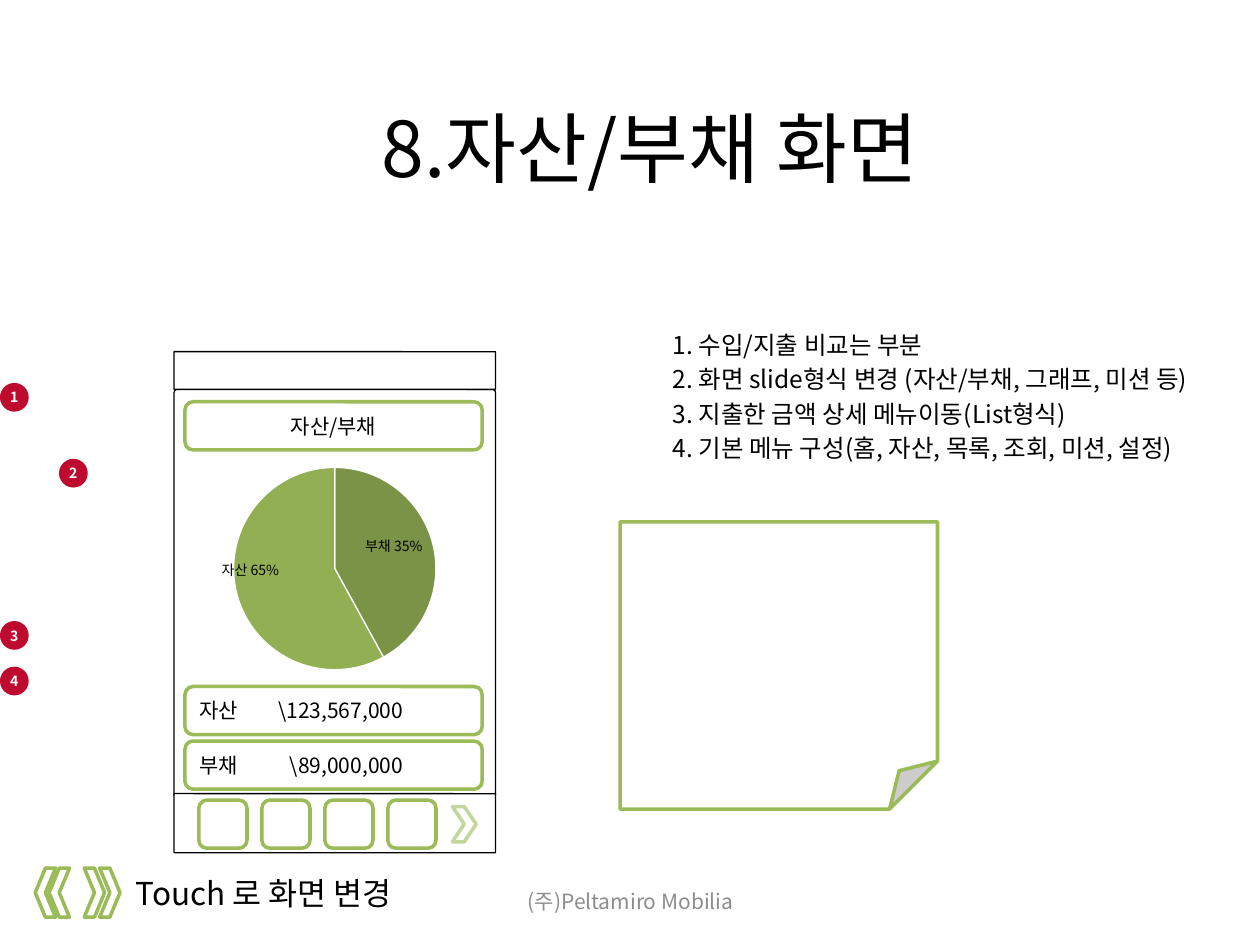
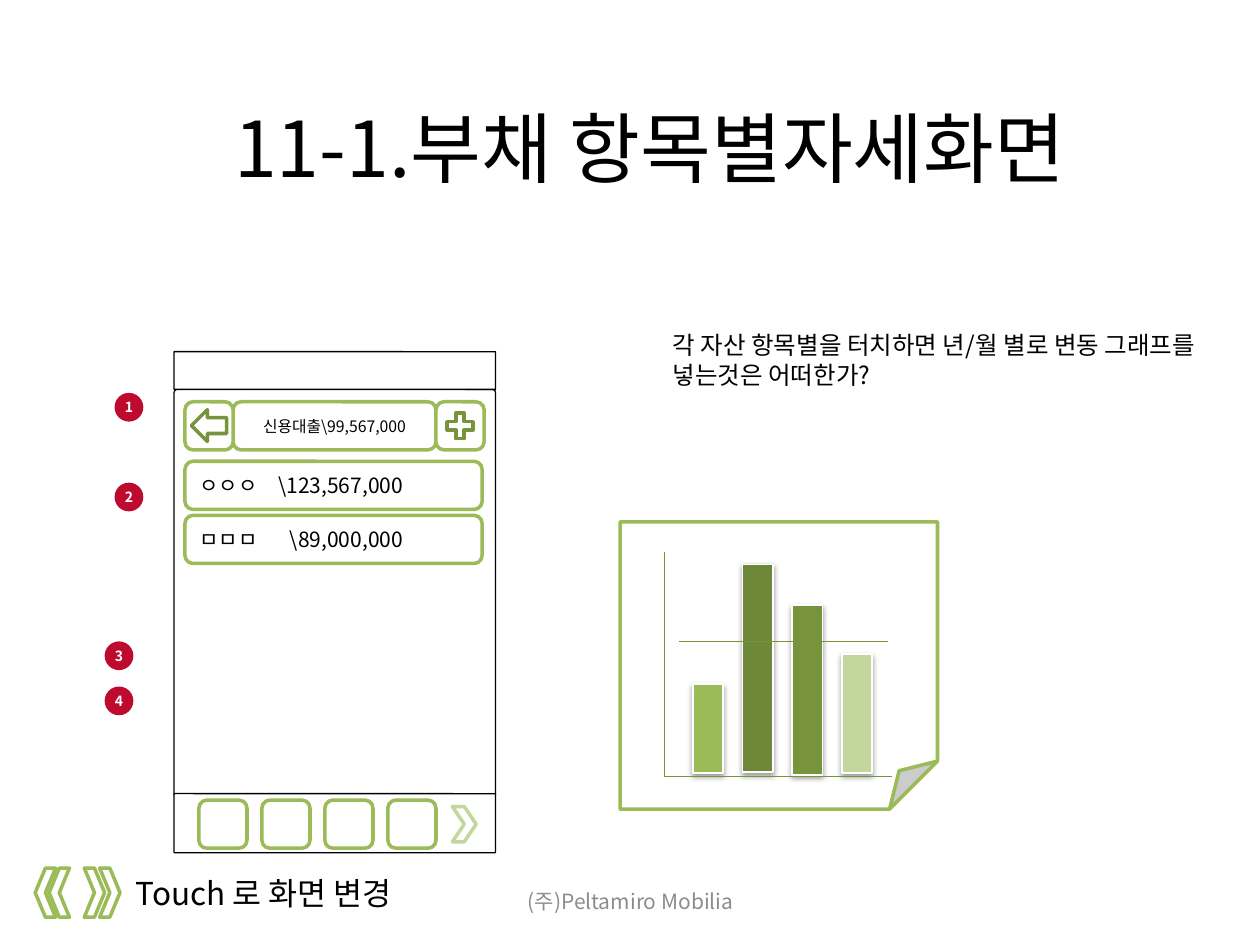
"""Build two wireframe slides of an asset and debt app."""
from lxml import etree
from pptx import Presentation, util as u
from pptx.chart import data
from pptx.dml.color import RGBColor
from pptx.enum import chart, shapes, text
from pptx.oxml import parse_xml
from pptx.oxml.ns import nsdecls, qn

FONT = "Noto Sans CJK KR"
HUES = {
    "white": "FFFFFF", "black": "000000", "gray": "8C8C8C", "red": "BF0A30",
    "green": "9BBB59", "pale": "C3D69B", "dark": "77933C", "deep": "6D8838",
    "debt": "7A9347", "asset": "92AF53",
}
RGB = {name: RGBColor.from_string(code) for name, code in HUES.items()}
KIND = shapes.MSO_SHAPE
LEFT, MID = text.PP_ALIGN.LEFT, text.PP_ALIGN.CENTER
TOP, HALF = text.MSO_ANCHOR.TOP, text.MSO_ANCHOR.MIDDLE


def draw(slide, kind, box, fill="white", line="green", width=2):
    """Add a flat shape; box is left, top, width, height in cm."""
    shape = slide.shapes.add_shape(kind, *map(u.Cm, box))
    shape.shadow.inherit = False
    shape.fill.solid()
    shape.fill.fore_color.rgb = RGB[fill]
    if line:
        shape.line.color.rgb = RGB[line]
        shape.line.width = u.Pt(width)
    else:
        shape.line.fill.background()
    return shape


def write(shape, words, size, hue="black", align=MID, anchor=HALF, bold=False, wrap=True):
    """Fill a shape with text, one paragraph a line."""
    frame = shape.text_frame
    frame.text = words
    frame.word_wrap = wrap
    frame.vertical_anchor = anchor
    for para in frame.paragraphs:
        para.alignment = align
        para.space_before = u.Pt(size * 0.2)
        for run in para.runs:
            run.font.name = FONT
            run.font.size = u.Pt(size)
            run.font.bold = bold
            run.font.color.rgb = RGB[hue]
            east = etree.SubElement(run.font._element, qn("a:ea"))
            east.set("typeface", FONT)
    return frame


deck = Presentation()
deck.slide_width, deck.slide_height = u.Cm(25.4), u.Cm(19.05)

pages = [
    {
        "title": "8.자산/부채 화면",
        "body": "1. 수입/지출 비교는 부분\n"
                "2. 화면 slide형식 변경 (자산/부채, 그래프, 미션 등)\n"
                "3. 지출한 금액 상세 메뉴이동(List형식)\n"
                "4. 기본 메뉴 구성(홈, 자산, 목록, 조회, 미션, 설정)",
        "head": (3.73, 5.99, "자산/부채", 12),
        "rows": [(13.84, "자산\t\\123,567,000"), (14.94, "부채\t\\89,000,000")],
        "marks": [(0, 7.72), (1.19, 9.25), (0, 12.52), (0, 13.44)],
    },
    {
        "title": "11-1.부채 항목별자세화면",
        "body": "각 자산 항목별을 터치하면 년/월 별로 변동 그래프를 넣는것은 어떠한가?",
        "head": (4.7, 4.09, "신용대출\\99,567,000", 9),
        "rows": [(9.3, "ㅇㅇㅇ\t\\123,567,000"), (10.39, "ㅁㅁㅁ\t\\89,000,000")],
        "marks": [(2.31, 7.92), (2.31, 9.73), (2.11, 12.93), (2.11, 13.84)],
    },
]

slides = []
for page in pages:
    slide = deck.slides.add_slide(deck.slide_layouts[5])
    slides.append(slide)
    title = slide.shapes.title
    title.left, title.top = u.Cm(2.31), u.Cm(0.91)
    title.width, title.height = u.Cm(21.59), u.Cm(4.09)
    write(title, page["title"], 44)

    for left, turn in [(1.7, 0), (2.01, 0), (0.99, 180), (0.71, 180)]:
        draw(slide, KIND.CHEVRON, (left, 17.5, 0.41, 0.99)).rotation = turn

    for box, words, size, hue, align, anchor, wrap in [
        ((2.49, 17.5, 6.32, 1.02), "Touch 로 화면 변경", 18, "black", LEFT, TOP, False),
        ((8.69, 17.65, 8.05, 1.02), "(주)Peltamiro Mobilia", 12, "gray", MID, HALF, True),
        ((13.31, 6.53, 11.81, 9.4), page["body"], 14, "black", LEFT, TOP, True),
    ]:
        label = slide.shapes.add_textbox(*map(u.Cm, box))
        write(label, words, size, hue, align, anchor, wrap=wrap)

    draw(slide, KIND.FOLDED_CORNER, (12.5, 10.52, 6.4, 5.79))

    for top, height in [(7.85, 8.23), (16, 1.19), (7.09, 0.76)]:
        panel = draw(slide, KIND.ROUNDED_RECTANGLE, (3.51, top, 6.48, height),
                     line="black", width=0.75)
        panel.adjustments[0] = 0.01
    for step in range(4):
        draw(slide, KIND.ROUNDED_RECTANGLE, (4.01 + 1.27 * step, 16.13, 0.97, 0.97))
    draw(slide, KIND.CHEVRON, (9.12, 16.26, 0.48, 0.71), line="pale")

    for top, words in page["rows"]:
        row = draw(slide, KIND.ROUNDED_RECTANGLE, (3.73, top, 5.99, 0.97))
        frame = write(row, words, 12, align=LEFT)
        stops = etree.SubElement(frame.paragraphs[0]._p.get_or_add_pPr(), qn("a:tabLst"))
        etree.SubElement(stops, qn("a:tab"), pos=str(u.Cm(4.1)), algn="r")

    left, width, words, size = page["head"]
    head = draw(slide, KIND.ROUNDED_RECTANGLE, (left, 8.1, width, 0.97))
    frame = write(head, words, size)
    frame.margin_left = frame.margin_right = 0

    for count, (left, top) in enumerate(page["marks"], 1):
        mark = draw(slide, KIND.OVAL, (left, top, 0.58, 0.58), "red", None)
        frame = write(mark, str(count), 8, "white", bold=True, wrap=False)
        frame.margin_left = frame.margin_right = 0
        frame.margin_top = frame.margin_bottom = 0

first, second = slides

share = data.CategoryChartData()
share.categories = ["1", "2"]
share.add_series("Series 1", (42, 58))
pie = first.shapes.add_chart(
    chart.XL_CHART_TYPE.PIE, *map(u.Cm, (3.51, 9.04, 6.48, 4.8)), share).chart
pie.has_legend = pie.has_title = False
pie.font.name, pie.font.size = FONT, u.Pt(18)
pie.font.color.rgb = RGB["black"]
for spot, hue in enumerate(["debt", "asset"]):
    style = pie.plots[0].series[0].points[spot].format
    style.fill.solid()
    style.fill.fore_color.rgb = RGB[hue]
    style.line.color.rgb = RGB["white"]
    style.line.width = u.Pt(0.75)
plot = pie._chartSpace.chart.plotArea
for old in plot.findall(qn("c:layout")):
    plot.remove(old)
plot.insert(0, parse_xml(
    f'<c:layout {nsdecls("c")}><c:manualLayout><c:layoutTarget val="inner"/>'
    '<c:xMode val="edge"/><c:yMode val="edge"/><c:x val="0.18"/><c:y val="0.08"/>'
    '<c:w val="0.64"/><c:h val="0.85"/></c:manualLayout></c:layout>'))

for left, top, words in [(4.22, 11.2, "자산 65%"), (7.11, 10.72, "부채 35%")]:
    label = first.shapes.add_textbox(*map(u.Cm, (left, top, 2.08, 0.71)))
    write(label, words, 8, align=LEFT, anchor=TOP, wrap=False)

for left in (3.73, 8.79):
    draw(second, KIND.ROUNDED_RECTANGLE, (left, 8.1, 0.97, 0.97))
draw(second, KIND.MATH_PLUS, (8.92, 8.23, 0.71, 0.71), line="dark")
draw(second, KIND.LEFT_ARROW, (3.86, 8.26, 0.71, 0.64), line="dark")

bars = [(13.79, 1.8, "green"), (11.38, 4.19, "deep"),
        (12.19, 3.43, "dark"), (13.18, 2.41, "pale")]
for step, (top, height, hue) in enumerate(bars):
    bar = draw(second, KIND.RECTANGLE, (13.97 + step, top, 0.61, height), hue, "white", 1)
    bar._element.spPr.find(qn("a:effectLst")).append(parse_xml(
        f'<a:outerShdw {nsdecls("a")} blurRad="40000" dist="20000" dir="5400000" '
        'rotWithShape="0"><a:srgbClr val="000000"><a:alpha val="38000"/>'
        '</a:srgbClr></a:outerShdw>'))

for ends in [(13.39, 11.13, 13.39, 15.65), (13.39, 15.65, 17.98, 15.65),
             (13.69, 12.93, 17.91, 12.93)]:
    rule = second.shapes.add_connector(shapes.MSO_CONNECTOR.STRAIGHT, *map(u.Cm, ends))
    rule.line.color.rgb = RGB["dark"]
    rule.line.width = u.Pt(0.75)
    etree.SubElement(rule._element.spPr, qn("a:effectLst"))

deck.save("out.pptx")
